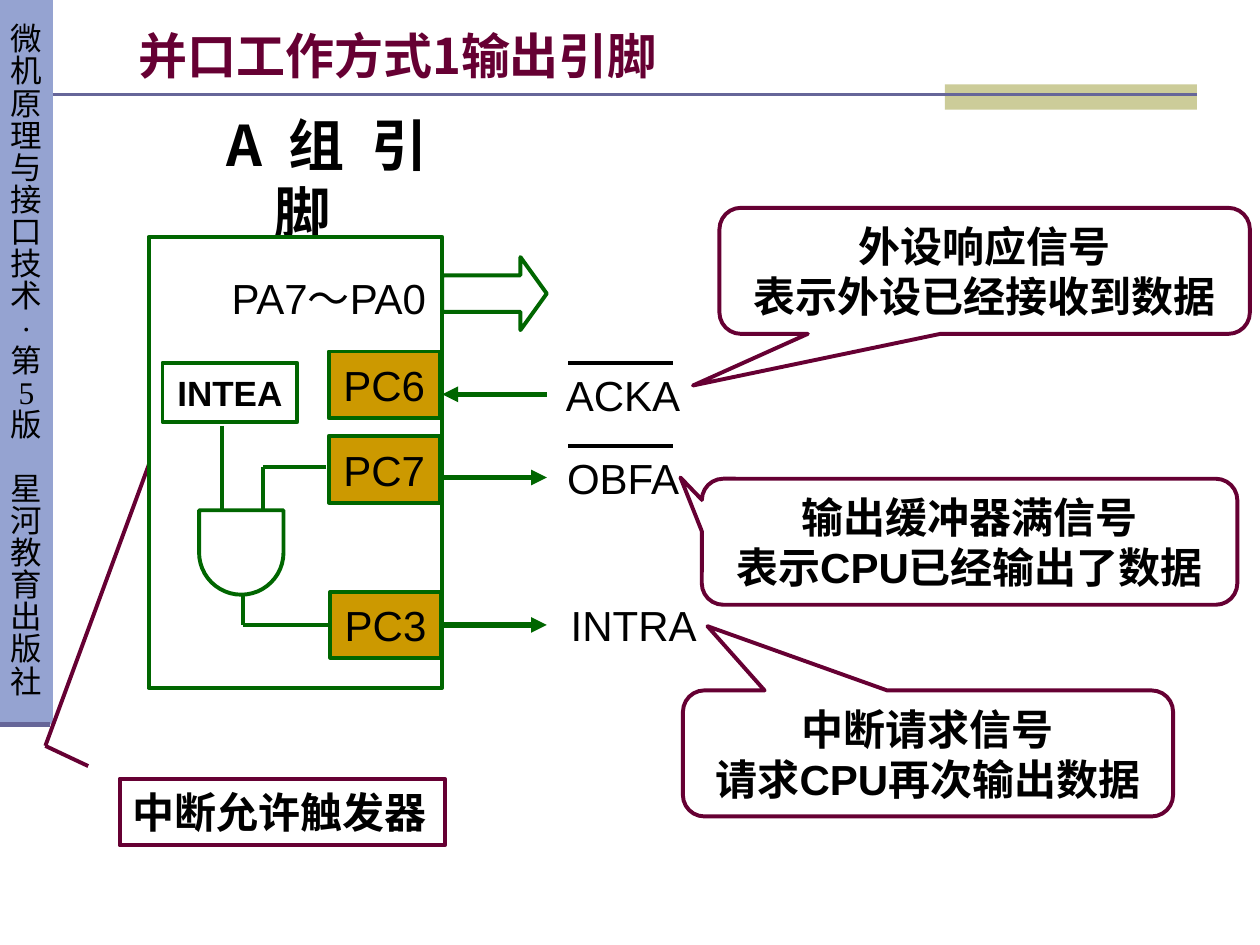
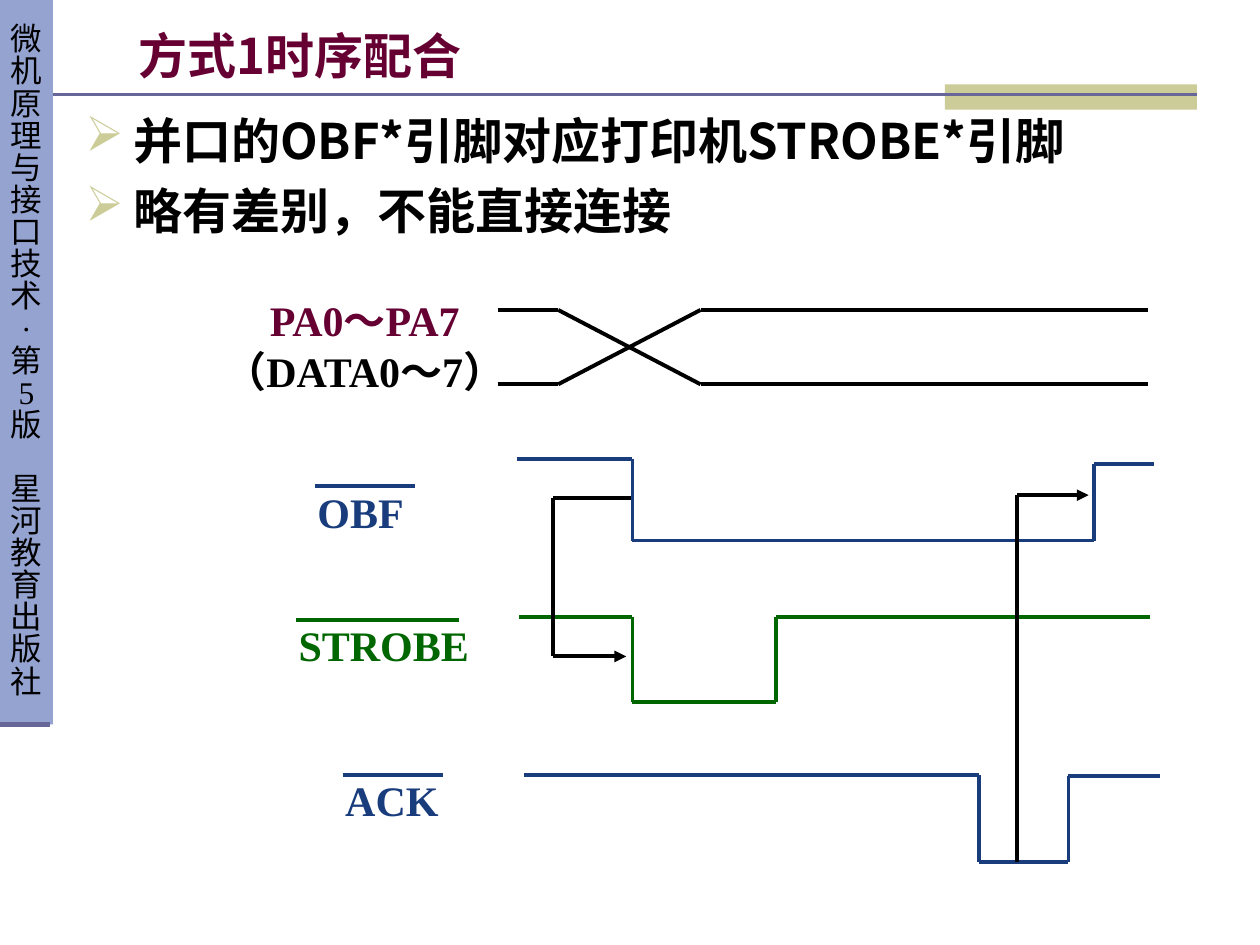
"""Build two slides on the output handshake of a parallel port in mode 1."""
from dataclasses import dataclass
from itertools import pairwise

from lxml.etree import SubElement
from pptx import Presentation
from pptx.dml.color import RGBColor
from pptx.enum.shapes import MSO_CONNECTOR, MSO_SHAPE
from pptx.enum.text import MSO_ANCHOR, MSO_AUTO_SIZE, PP_ALIGN
from pptx.oxml.ns import qn
from pptx.util import Pt

PX = 9144


@dataclass(frozen=True)
class Theme:
    black: str = "000000"
    white: str = "FFFFFF"
    wine: str = "660033"
    green: str = "006600"
    navy: str = "193C7D"
    gold: str = "CC9900"
    sand: str = "CCCC99"
    band: str = "95A3D1"
    rule: str = "666699"
    cjk: str = "Noto Sans CJK SC"
    sans: str = "Arial"
    serif: str = "Times New Roman"
    heading: int = 32
    title: int = 28
    label: int = 24
    small: int = 20
    side: int = 18
    stroke: float = 2.25


theme = Theme()


def add_box(page, place, text="", *, kind=None, holder=None, fill=None, line=None,
            adjust=(), font=theme.sans, size=theme.label, color=theme.black,
            bold=False, align=PP_ALIGN.CENTER, anchor=MSO_ANCHOR.MIDDLE, wrap=False,
            inset=(10, 5), leading=None, gap=0, hang=0, bullet=None):
    """Add or reuse a box at a place in px and write its formatted text."""
    left, top, width, height = [value * PX for value in place]
    if holder is not None:
        box = holder
        box.left, box.top, box.width, box.height = left, top, width, height
    elif kind is None:
        box = page.shapes.add_textbox(left, top, width, height)
    else:
        box = page.shapes.add_shape(kind, left, top, width, height)
        box.shadow.inherit = False
        for index, value in enumerate(adjust):
            box.adjustments[index] = value
    if fill:
        box.fill.solid()
        box.fill.fore_color.rgb = RGBColor.from_string(fill)
    else:
        box.fill.background()
    if line:
        box.line.color.rgb = RGBColor.from_string(line)
        box.line.width = Pt(theme.stroke)
    else:
        box.line.fill.background()
    if not text:
        return box
    frame = box.text_frame
    frame.auto_size = MSO_AUTO_SIZE.NONE
    frame.word_wrap = wrap
    frame.vertical_anchor = anchor
    frame.margin_left = frame.margin_right = inset[0] * PX
    frame.margin_top = frame.margin_bottom = inset[1] * PX
    for index, words in enumerate(text.split("\n")):
        para = frame.paragraphs[0] if index == 0 else frame.add_paragraph()
        para.alignment = align
        if leading:
            para.line_spacing = leading
        if gap and index:
            para.space_before = Pt(gap)
        properties = para._p.get_or_add_pPr()
        if hang:
            properties.set("marL", str(hang * PX))
            properties.set("indent", str(-hang * PX))
        if bullet:
            tint = SubElement(properties, qn("a:buClr"))
            SubElement(tint, qn("a:srgbClr")).set("val", theme.sand)
            SubElement(properties, qn("a:buChar")).set("char", bullet)
        span = para.add_run()
        span.text = words
        span.font.name = font
        span.font.size = Pt(size)
        span.font.bold = bold
        span.font.color.rgb = RGBColor.from_string(color)
        SubElement(span._r.get_or_add_rPr(), qn("a:ea")).set("typeface", theme.cjk)
    return box


def add_lines(page, points, color, width=theme.stroke, arrow=False):
    """Join points in px with straight connectors and return the last one."""
    for start, end in pairwise(points):
        line = page.shapes.add_connector(
            MSO_CONNECTOR.STRAIGHT, *[value * PX for value in (*start, *end)])
        line.line.color.rgb = RGBColor.from_string(color)
        line.line.width = Pt(width)
        properties = line.element.spPr
        if arrow and end == points[-1]:
            SubElement(properties.find(qn("a:ln")), qn("a:tailEnd")).set("type", "triangle")
        SubElement(properties, qn("a:effectLst"))
    return line


deck = Presentation()
deck.slide_width, deck.slide_height = 1000 * PX, 750 * PX
book = "微机原理与接口技术·第5版"
publisher = "星河教育出版社"
pages = []
for title in ("并口工作方式1输出引脚", "方式1时序配合"):
    page = deck.slides.add_slide(deck.slide_layouts[5])
    side = add_box(page, (0, 0, 42, 575), "\n".join(book + publisher),
                   kind=MSO_SHAPE.RECTANGLE, fill=theme.band, font=theme.serif,
                   size=theme.side, leading=0.85, inset=(0, 5))
    side.text_frame.paragraphs[len(book)].space_before = Pt(theme.side)
    add_box(page, (750, 67, 200, 20), kind=MSO_SHAPE.RECTANGLE, fill=theme.sand)
    add_lines(page, [(42, 75), (950, 75)], theme.rule, 1.5)
    add_lines(page, [(0, 575), (40, 575)], theme.rule, 3)
    add_box(page, (100, 17, 850, 53), title, holder=page.shapes.title, font=theme.cjk,
            size=theme.title, color=theme.wine, bold=True, align=PP_ALIGN.LEFT, wrap=True)
    pages.append(page)
pins, timing = pages

add_box(pins, (170, 83, 179, 72), "A组引脚", font=theme.cjk, size=theme.heading,
        bold=True, align=PP_ALIGN.JUSTIFY, anchor=MSO_ANCHOR.TOP, wrap=True, hang=38)
callouts = [
    ((571, 165, 421, 100), (-0.55, 0.91, 0.17), "外设响应信号\n表示外设已经接收到数据"),
    ((557, 380, 425, 100), (-0.54, -0.51, 0.17), "输出缓冲器满信号\n表示CPU已经输出了数据"),
    ((542, 548, 389, 100), (-0.45, -1.01, 0.17), "中断请求信号\n请求CPU再次输出数据"),
]
for place, adjust, text in callouts:
    add_box(pins, place, text, kind=MSO_SHAPE.ROUNDED_RECTANGULAR_CALLOUT,
            line=theme.wine, adjust=adjust, bold=True)
add_box(pins, (95, 618, 258, 53), "中断允许触发器", kind=MSO_SHAPE.RECTANGLE,
        line=theme.wine, bold=True, align=PP_ALIGN.LEFT)
add_lines(pins, [(128, 342), (36, 592), (70, 608)], theme.wine)

add_box(pins, (118, 188, 233, 358), kind=MSO_SHAPE.RECTANGLE,
        fill=theme.white, line=theme.green)
ports = {}
for name, left, top, height in (("PC6", 261, 279, 53), ("PC7", 261, 346, 53),
                                ("PC3", 262, 470, 52)):
    ports[name] = add_box(pins, (left, top, 88, height), name, kind=MSO_SHAPE.RECTANGLE,
                          fill=theme.gold, line=theme.green)
add_box(pins, (351, 204, 83, 58), kind=MSO_SHAPE.RIGHT_ARROW, line=theme.green,
        adjust=(0.5, 0.36))
add_box(pins, (171, 211, 180, 50), "PA7～PA0", wrap=True)
add_box(pins, (129, 288, 107, 47), "INTEA", kind=MSO_SHAPE.RECTANGLE,
        line=theme.green, size=theme.small, bold=True)
gate = add_box(pins, (158, 405, 67, 67), kind=MSO_SHAPE.FLOWCHART_DELAY, line=theme.green)
gate.rotation = 90

add_lines(pins, [(176, 338), (176, 404)], theme.green)
add_lines(pins, [(259, 371), (209, 371), (209, 404)], theme.green)
add_lines(pins, [(193, 471), (193, 496)], theme.green)
gate_wire = add_lines(pins, [(262, 496), (193, 496)], theme.green)
gate_wire.begin_connect(ports["PC3"], 1)
request_wire = add_lines(pins, [(350, 496), (434, 496)], theme.green, 3, arrow=True)
request_wire.begin_connect(ports["PC3"], 3)
add_lines(pins, [(351, 379), (434, 379)], theme.green, 3, arrow=True)
add_lines(pins, [(434, 313), (351, 313)], theme.green, 3, arrow=True)
for name, top in (("ACKA", 288), ("OBFA", 354)):
    add_box(pins, (439, top, 111, 50), name)
    add_lines(pins, [(451, top), (534, top)], theme.black)
add_box(pins, (443, 471, 120, 50), "INTRA")

add_box(timing, (58, 83, 908, 617),
        "并口的OBF*引脚对应打印机STROBE*引脚\n略有差别，不能直接连接",
        font=theme.cjk, size=theme.title, bold=True, align=PP_ALIGN.JUSTIFY,
        anchor=MSO_ANCHOR.TOP, wrap=True, gap=6, hang=38, bullet="➢")
signals = [
    (theme.black, [(395, 246), (443, 246), (556, 305), (911, 305)]),
    (theme.black, [(395, 305), (443, 305), (556, 246), (911, 246)]),
    (theme.navy, [(410, 364), (502, 364), (502, 429), (868, 429), (868, 368), (916, 368)]),
    (theme.green, [(412, 490), (502, 490), (502, 557), (616, 557), (616, 490), (913, 490)]),
    (theme.navy, [(416, 615), (777, 615), (777, 684), (848, 684), (848, 616), (921, 616)]),
]
for color, points in signals:
    add_lines(timing, points, color)
add_lines(timing, [(501, 395), (439, 395), (439, 521), (497, 521)], theme.black, arrow=True)
add_lines(timing, [(807, 684), (807, 393), (864, 393)], theme.black, arrow=True)

data_label = add_box(timing, (161, 233, 257, 130), "PA0～PA7\n（DATA0～7）",
                     font=theme.serif, color=theme.wine, bold=True,
                     anchor=MSO_ANCHOR.TOP, wrap=True, inset=(1, 1))
data_span = data_label.text_frame.paragraphs[1].runs[0]
data_span.font.color.rgb = RGBColor.from_string(theme.black)
for name, left, top, width, color in (("OBF", 251, 385, 79, theme.navy),
                                      ("STROBE", 236, 491, 129, theme.green),
                                      ("ACK", 273, 614, 80, theme.navy)):
    add_box(timing, (left, top, 145, 63), name, font=theme.serif, color=color, bold=True,
            align=PP_ALIGN.LEFT, anchor=MSO_ANCHOR.TOP, wrap=True, inset=(1, 1))
    add_lines(timing, [(left - 1, top + 1), (left - 1 + width, top + 1)], color)

deck.save("out.pptx")
